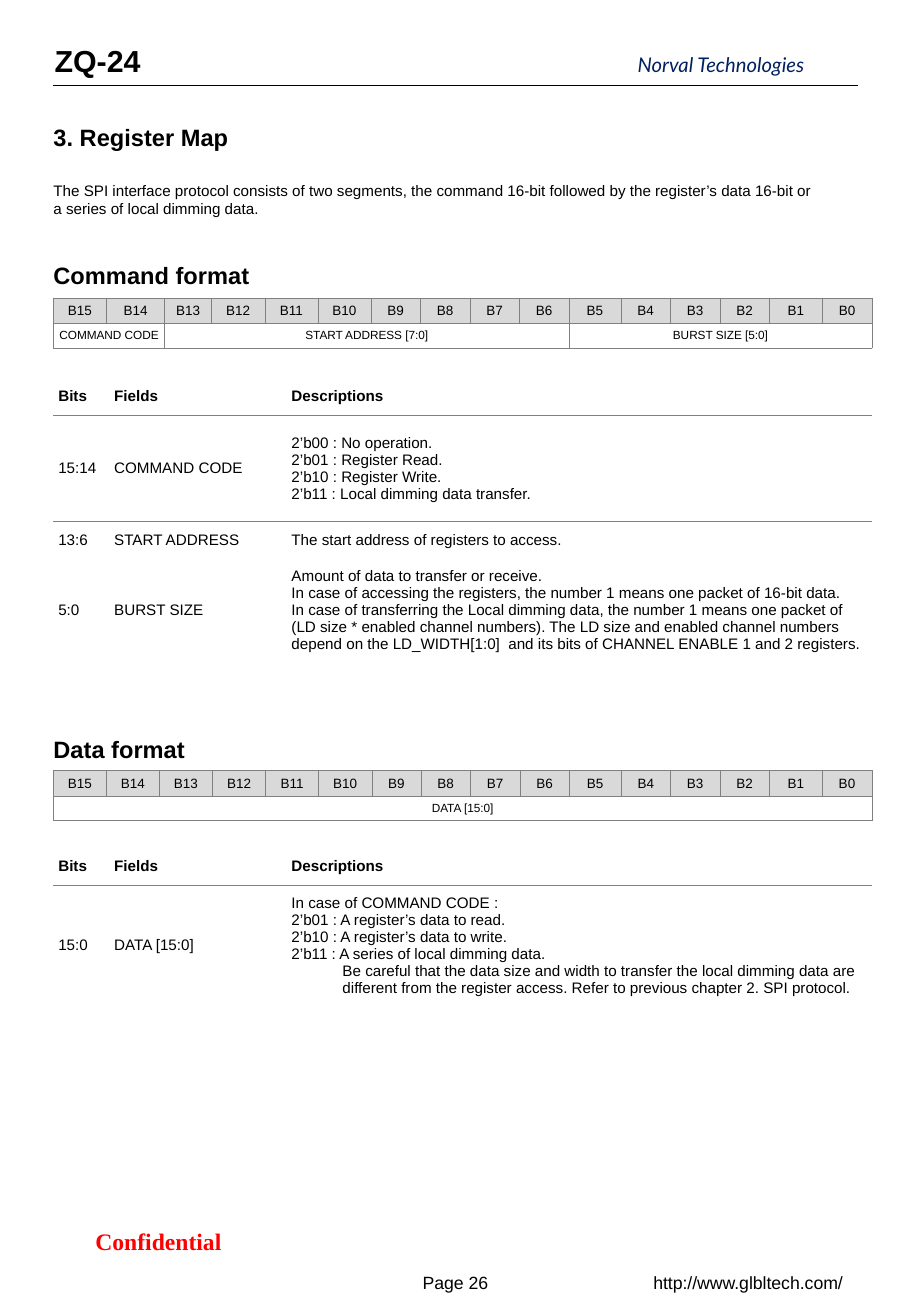
"""Build the register map page with its format and field tables."""
from dataclasses import dataclass

from lxml.etree import SubElement as Sub
from pptx import Presentation as Deck
from pptx.dml.color import RGBColor as Rgb
from pptx.enum.shapes import MSO_CONNECTOR as Conn
from pptx.enum.text import MSO_ANCHOR as Anchor, PP_ALIGN as Align
from pptx.oxml import parse_xml
from pptx.oxml.ns import nsdecls, qn
from pptx.util import Inches, Pt


@dataclass(frozen=True)
class Theme:
    black: str = "000000"
    navy: str = "002060"
    red: str = "FF0000"
    grey: str = "808080"
    pale: str = "D9D9D9"
    sans: str = "Arial"
    brand: str = "Lato"
    serif: str = "Times New Roman"
    name: float = 18
    head: float = 14
    sub: float = 12
    foot: float = 10.5
    body: float = 9
    bit: float = 8
    field: float = 7


class Page:
    def __init__(self, slide, theme):
        self.slide, self.theme = slide, theme

    def style(self, para, size, color=None, face=None, bold=False, italic=False):
        font = para.font
        font.name, font.size = face or self.theme.sans, Pt(size)
        font.bold, font.italic = bold, italic
        font.color.rgb = Rgb.from_string(color or self.theme.black)

    def text(self, box, words, size, pad=(0, 0.05), mid=False, **look):
        frame = self.slide.shapes.add_textbox(*map(Inches, box)).text_frame
        frame.word_wrap = True
        frame.margin_left = frame.margin_right = Inches(pad[0])
        frame.margin_top = frame.margin_bottom = Inches(pad[1])
        para = frame.paragraphs[0]
        para.text = words
        if mid:
            frame.vertical_anchor = Anchor.MIDDLE
            para.alignment = Align.CENTER
        self.style(para, size, **look)
        return frame

    def title(self, top, words):
        return self.text((LEFT, top, 6.6, 0.34), words, self.theme.head, bold=True)

    def foot(self, box, words, size=None, **look):
        self.text(box, words, size or self.theme.foot, mid=True, **look)

    def rule(self, left, right, top):
        line = self.slide.shapes.add_connector(
            Conn.STRAIGHT, *map(Inches, (left, top, right, top)))
        line.line.color.rgb = Rgb.from_string(self.theme.black)
        line.line.width = Pt(0.5)
        Sub(line._element.spPr, qn("a:effectLst"))

    def grid(self, top, cols, rows):
        box = map(Inches, (LEFT, top, WIDE, sum(rows)))
        table = self.slide.shapes.add_table(len(rows), len(cols), *box).table
        table.first_row = table.horz_banding = False
        table._tbl.tblPr.find(qn("a:tableStyleId")).text = PLAIN
        for col, width in zip(table.columns, cols):
            col.width = Inches(WIDE * width / sum(cols))
        for row, height in zip(table.rows, rows):
            row.height = Inches(height)
        return table

    def cell(self, cell, words, size, fill=None, sides="", width=0.5,
             align=Align.LEFT, bold=False):
        cell.text = words
        cell.vertical_anchor = Anchor.MIDDLE
        cell.margin_left = cell.margin_right = Inches(0.04)
        cell.margin_top = cell.margin_bottom = Inches(0.04)
        for para in cell.text_frame.paragraphs:
            para.alignment = align
            self.style(para, size, bold=bold)
        if fill:
            cell.fill.solid()
            cell.fill.fore_color.rgb = Rgb.from_string(fill)
        else:
            cell.fill.background()
        props = cell._tc.get_or_add_tcPr()
        for spot, side in enumerate(sides):
            props.insert(spot, parse_xml(
                f'<a:ln{side} {nsdecls("a")} w="{Pt(width)}"><a:solidFill>'
                f'<a:srgbClr val="{self.theme.grey}"/></a:solidFill></a:ln{side}>'))

    def bits(self, top, cols, spans):
        look = dict(sides="LRTB", width=0.25, align=Align.CENTER)
        table = self.grid(top, cols, (0.21, 0.2))
        last = len(cols) - 1
        for n in range(len(cols)):
            self.cell(table.cell(0, n), f"B{last - n}", self.theme.bit,
                      fill=self.theme.pale, **look)
            self.cell(table.cell(1, n), "", self.theme.field, **look)
        start = 0
        for words, count in spans:
            first = table.cell(1, start)
            first.merge(table.cell(1, start + count - 1))
            self.cell(first, words, self.theme.field, align=Align.CENTER)
            start += count

    def fields(self, top, heights, rows):
        table = self.grid(top, (0.46, 1.46, 4.82), (0.32, *heights))
        for r, row in enumerate([("Bits", "Fields", "Descriptions"), *rows]):
            side = ("B", "T")[r] if r < 2 else ""
            for c, words in enumerate(row):
                self.cell(table.cell(r, c), words, self.theme.body,
                          sides=side, bold=r == 0)
        return table


LEFT, WIDE = 0.44, 6.74
PLAIN = "{2D5ABB26-0587-4C30-8999-92F81FD0307C}"
TAIL = [0.44] * 3 + [0.41] * 4 + [0.43] + [0.41] * 3 + [0.44, 0.41]
CODES = [
    ("15:14", "COMMAND CODE",
     "2’b00 : No operation.\n2’b01 : Register Read.\n"
     "2’b10 : Register Write.\n2’b11 : Local dimming data transfer."),
    ("13:6", "START ADDRESS", "The start address of registers to access."),
    ("5:0", "BURST SIZE",
     "Amount of data to transfer or receive.\n"
     "In case of accessing the registers, the number 1 means one packet of 16-bit data.\n"
     "In case of transferring the Local dimming data, the number 1 means one packet of\n"
     "(LD size * enabled channel numbers). The LD size and enabled channel numbers "
     "depend on the LD_WIDTH[1:0]  and its bits of CHANNEL ENABLE 1 and 2 registers."),
]
DATA = [
    ("15:0", "DATA [15:0]",
     "In case of COMMAND CODE :\n2’b01 : A register’s data to read.\n"
     "2’b10 : A register’s data to write.\n2’b11 : A series of local dimming data.\n"
     "Be careful that the data size and width to transfer the local dimming data are\n"
     "different from the register access. Refer to previous chapter 2. SPI protocol."),
]
INTRO = (
    "The SPI interface protocol consists of two segments, the command 16-bit "
    "followed by the register’s data 16-bit or",
    "a series of local dimming data.",
)


def main():
    deck = Deck()
    deck.slide_width, deck.slide_height = Inches(7.5), Inches(10.83)
    theme = Theme()
    page = Page(deck.slides.add_slide(deck.slide_layouts[6]), theme)

    page.text((0.45, 0.3, 1.5, 0.4), "ZQ-24", theme.name, bold=True)
    page.text((5.25, 0.43, 1.6, 0.2), "Norval Technologies", theme.sub, pad=(0, 0),
              color=theme.navy, face=theme.brand, italic=True)
    page.rule(LEFT, 7.06, 0.7)

    frame = page.title(0.96, "3. Register Map")
    for n, words in enumerate(INTRO):
        para = frame.add_paragraph()
        para.text = words
        para.space_before = Pt(0 if n else 18)
        page.style(para, theme.body)

    page.title(2.1, "Command format")
    page.bits(2.45, [0.44, 0.48, 0.39] + TAIL,
              [("COMMAND CODE", 2), ("START ADDRESS [7:0]", 8), ("BURST SIZE [5:0]", 6)])
    page.fields(3.1, (0.87, 0.32, 0.78), CODES)

    page.title(6, "Data format")
    page.bits(6.34, [0.44] * 3 + TAIL, [("DATA [15:0]", 16)])
    table = page.fields(6.97, (0.94,), DATA)
    for para in table.cell(1, 2).text_frame.paragraphs[4:]:
        para._p.get_or_add_pPr().set("marL", str(Inches(0.42)))

    page.foot((0.34, 10.04, 1.93, 0.34), "Confidential", theme.head,
              color=theme.red, face=theme.serif, bold=True)
    page.foot((3.28, 10.38, 0.94, 0.34), "Page 26")
    page.foot((5.22, 10.38, 1.88, 0.34), "http://www.glbltech.com/")
    deck.save("out.pptx")


if __name__ == "__main__":
    main()
